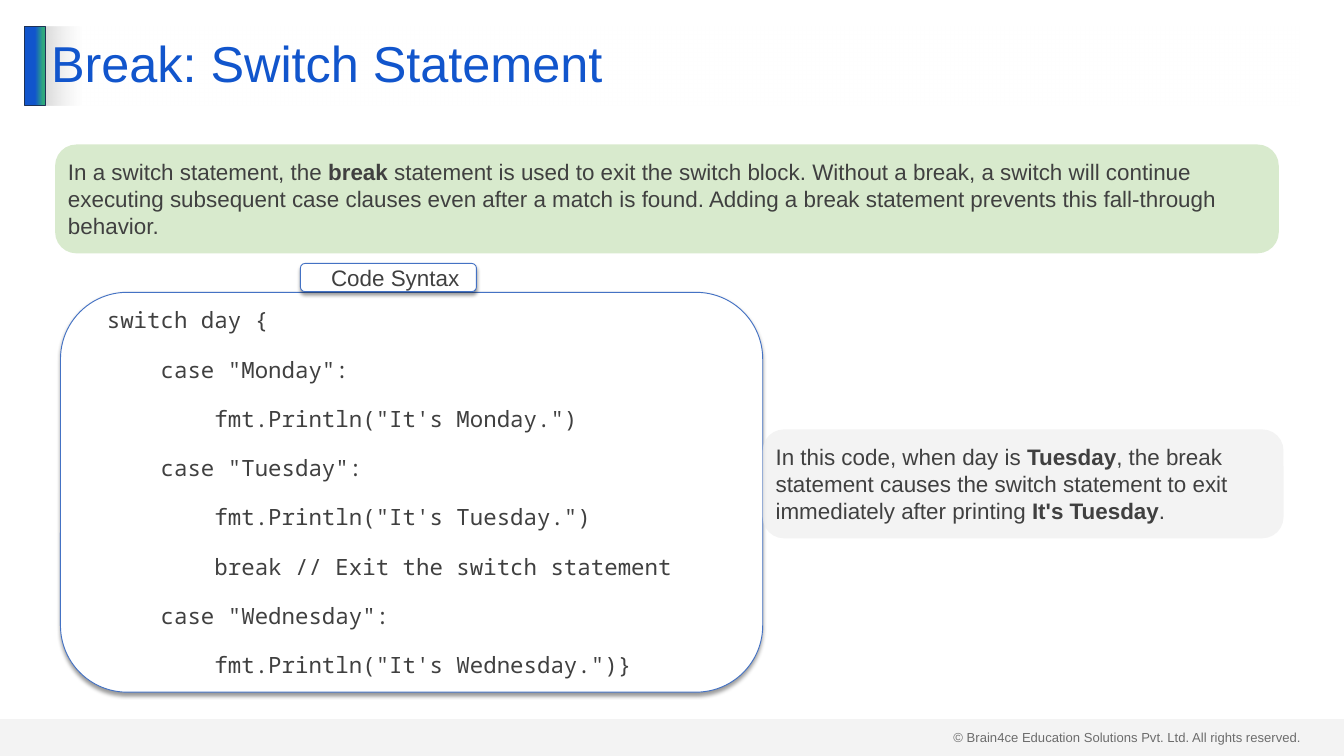
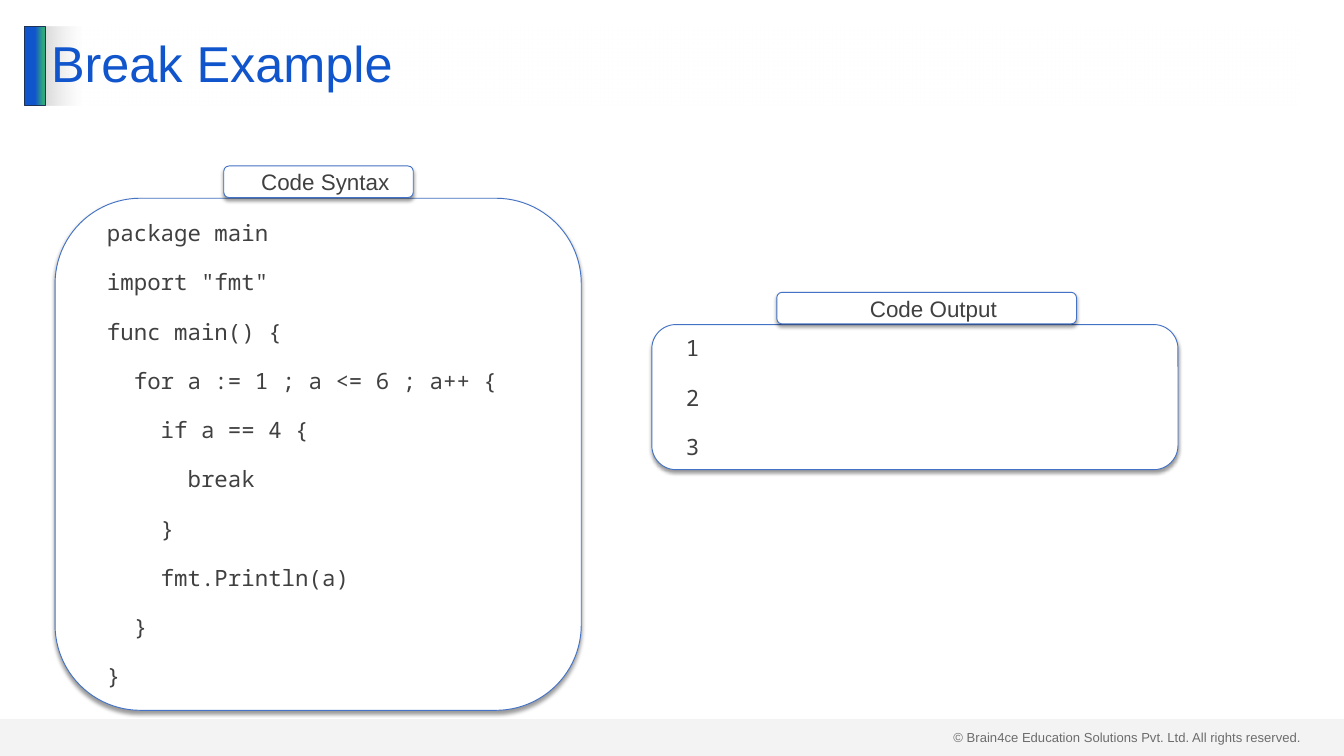
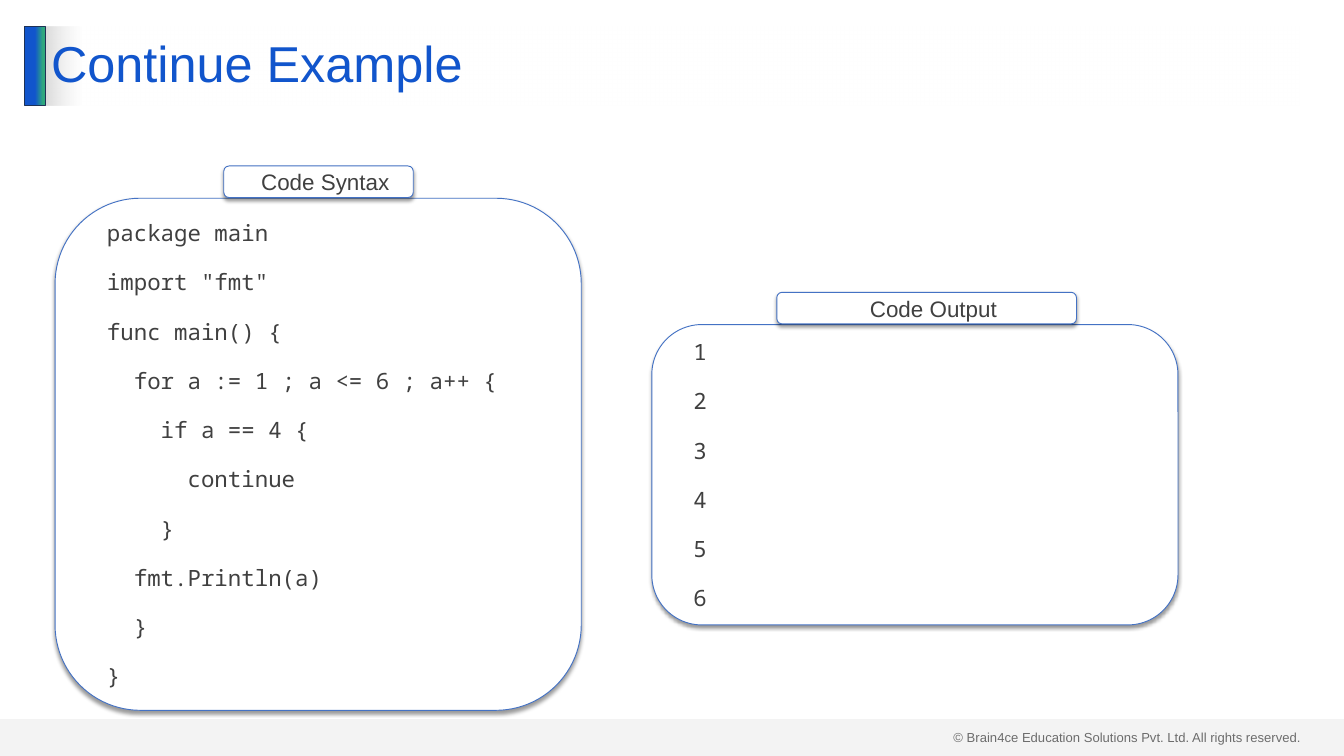
from lxml import etree
from pptx import Presentation
from pptx.dml.color import RGBColor
from pptx.enum.shapes import MSO_SHAPE
from pptx.enum.text import MSO_ANCHOR, MSO_AUTO_SIZE, PP_ALIGN
from pptx.oxml.ns import qn
from pptx.util import Inches, Pt

BLUE, GREEN, NAVY, OUTLINE = "1155CC", "2EA87D", "1E3256", "4472C4"
TEXT, WHITE, GREY = "404040", "FFFFFF", "D9D9D9"
NOTE_GREEN, NOTE_GREY = "C5E0B4", "EDEDED"
SANS, MONO = "Arial", "Noto Sans Mono"
TITLE_ONLY = 5

SWITCH_CODE = """switch day {
    case "Monday":
        fmt.Println("It's Monday.")
    case "Tuesday":
        fmt.Println("It's Tuesday.")
        break // Exit the switch statement
    case "Wednesday":
        fmt.Println("It's Wednesday.")}"""

LOOP_CODE = """package main
import "fmt"
func main() {{
  for a := 1 ; a <= 6 ; a++ {{
    if a == 4 {{
      {keyword}
    }}
{print_indent}fmt.Println(a)
  }}
}}"""


def color(hex_string):
    return RGBColor.from_string(hex_string)


def add_color(parent, hex_string, opacity=100):
    element = etree.SubElement(parent, qn("a:srgbClr"), val=hex_string)
    if opacity < 100:
        etree.SubElement(element, qn("a:alpha"), val=str(opacity * 1000))


def fill_solid(shape, hex_string, opacity=100):
    shape.fill.solid()
    shape.fill.fore_color.rgb = color(hex_string)
    if opacity < 100:
        element = shape.fill._xPr.find(".//" + qn("a:srgbClr"))
        etree.SubElement(element, qn("a:alpha"), val=str(opacity * 1000))


def fill_gradient(shape, stops):
    """Fill from left to right; each stop is (percent, colour, opacity)."""
    shape.fill.gradient()
    shape.fill.gradient_angle = 0
    stop_list = shape.fill._xPr.find(".//" + qn("a:gsLst"))
    for stop in list(stop_list):
        stop_list.remove(stop)
    for percent, hex_string, opacity in stops:
        stop = etree.SubElement(stop_list, qn("a:gs"), pos=str(percent * 1000))
        add_color(stop, hex_string, opacity)


def add_drop_shadow(shape):
    effects = shape._element.spPr.find(qn("a:effectLst"))
    shadow = etree.SubElement(effects, qn("a:outerShdw"), blurRad=str(Pt(4)),
                              dist=str(Pt(3)), dir="5400000", rotWithShape="0")
    add_color(shadow, "000000", 40)


def add_box(page, kind, left, top, width, height, outline=None):
    box = page.shapes.add_shape(kind, Inches(left), Inches(top), Inches(width), Inches(height))
    box.shadow.inherit = False
    if outline:
        box.line.color.rgb = color(outline)
        box.line.width = Pt(1)
    else:
        box.line.fill.background()
    return box


def set_font(target, size, name=SANS, hex_string=TEXT):
    target.font.size = Pt(size)
    target.font.name = name
    target.font.color.rgb = color(hex_string)


def add_title(page, text):
    title = page.shapes.title
    title.left, title.top = Inches(0.66), Inches(0.39)
    title.width, title.height = Inches(18.67), Inches(1.18)
    fill_gradient(title, [(0, GREY, 100), (3, WHITE, 50)])
    frame = title.text_frame
    frame.text = text
    frame.auto_size = MSO_AUTO_SIZE.NONE
    frame.vertical_anchor = MSO_ANCHOR.MIDDLE
    para = frame.paragraphs[0]
    para.alignment = PP_ALIGN.LEFT
    para.line_spacing = 0.9
    set_font(para.runs[0], 54, hex_string=BLUE)


def add_footer(page):
    note = page.shapes.add_textbox(Inches(14.09), Inches(10.8), Inches(5.41), Inches(0.34))
    note.text_frame.word_wrap = True
    note.text_frame.text = "© Brain4ce Education Solutions Pvt. Ltd. All rights reserved."
    set_font(note.text_frame.paragraphs[0].runs[0], 14)
    band = add_box(page, MSO_SHAPE.RECTANGLE, 0, 10.7, 20, 0.55)
    fill_solid(band, GREY, 29)


def add_page(deck, title):
    page = deck.slides.add_slide(deck.slide_layouts[TITLE_ONLY])
    add_title(page, title)
    accent = add_box(page, MSO_SHAPE.RECTANGLE, 0.37, 0.39, 0.3, 1.18, NAVY)
    fill_gradient(accent, [(51, BLUE, 100), (90, GREEN, 100), (100, GREEN, 100)])
    add_footer(page)
    return page


def add_card(page, bounds, text, font, alignment):
    """Outlined white box with a shadow and one paragraph for each line of text."""
    card = add_box(page, MSO_SHAPE.ROUNDED_RECTANGLE, *bounds, OUTLINE)
    fill_solid(card, WHITE)
    add_drop_shadow(card)
    frame = card.text_frame
    frame.margin_left = frame.margin_right = Inches(0.2)
    frame.margin_top = frame.margin_bottom = Inches(0.1)
    frame.vertical_anchor = MSO_ANCHOR.MIDDLE
    frame.text = text
    for index, para in enumerate(frame.paragraphs):
        para.alignment = alignment
        para.space_before = Pt(12 if index else 0)
        para.space_after = Pt(12)
        para._p.get_or_add_pPr().set("marL", str(Inches(0.2)))
        set_font(para.runs[0], 24, font)


def add_code_panel(page, bounds, code, label, label_offset, label_size):
    """Code card with a label tab that sits on its top edge."""
    left, top = bounds[:2]
    label_width, label_height = label_size
    add_card(page, bounds, code, MONO, PP_ALIGN.LEFT)
    tab = (left + label_offset, top - label_height - 0.01, label_width, label_height)
    add_card(page, tab, label, SANS, PP_ALIGN.CENTER)


def add_note(page, bounds, fill, spans):
    """Tinted note; every second span is bold."""
    note = add_box(page, MSO_SHAPE.ROUNDED_RECTANGLE, *bounds)
    note.adjustments[0] = 0.195
    fill_solid(note, fill, 66)
    note.text_frame.vertical_anchor = MSO_ANCHOR.MIDDLE
    para = note.text_frame.paragraphs[0]
    para.alignment = PP_ALIGN.LEFT
    for index, text in enumerate(spans):
        span = para.add_run()
        span.text = text
        set_font(span, 24)
        span.font.bold = index % 2 == 1


def build_switch_page(deck):
    page = add_page(deck, "Break: Switch Statement")
    add_code_panel(page, (0.9, 4.35, 10.45, 5.95), SWITCH_CODE, "Code Syntax", 3.57, (2.62, 0.42))
    add_note(page, (0.82, 2.15, 18.21, 1.62), NOTE_GREEN, [
        "In a switch statement, the ", "break",
        " statement is used to exit the switch block. Without a break, a switch will continue "
        "executing subsequent case clauses even after a match is found. Adding a break "
        "statement prevents this fall-through behavior."])
    add_note(page, (11.35, 6.39, 7.75, 1.62), NOTE_GREY, [
        "In this code, when day is ", "Tuesday",
        ", the break statement causes the switch statement to exit immediately after printing ",
        "It's Tuesday", "."])


def build_loop_page(deck, title, keyword, print_indent, output, output_height):
    page = add_page(deck, title)
    code = LOOP_CODE.format(keyword=keyword, print_indent=" " * print_indent)
    add_code_panel(page, (0.82, 2.95, 7.83, 7.62), code, "Code Syntax", 2.51, (2.82, 0.47))
    add_code_panel(page, (9.7, 4.83, 7.83, output_height), "\n".join(output),
                   "Code Output", 1.86, (4.46, 0.47))


def main():
    deck = Presentation()
    deck.slide_width, deck.slide_height = Inches(20), Inches(11.25)
    build_switch_page(deck)
    build_loop_page(deck, "Break Example", "break", 4, "123", 2.16)
    build_loop_page(deck, "Continue Example", "continue", 2, "123456", 4.47)
    deck.save("out.pptx")


if __name__ == "__main__":
    main()
